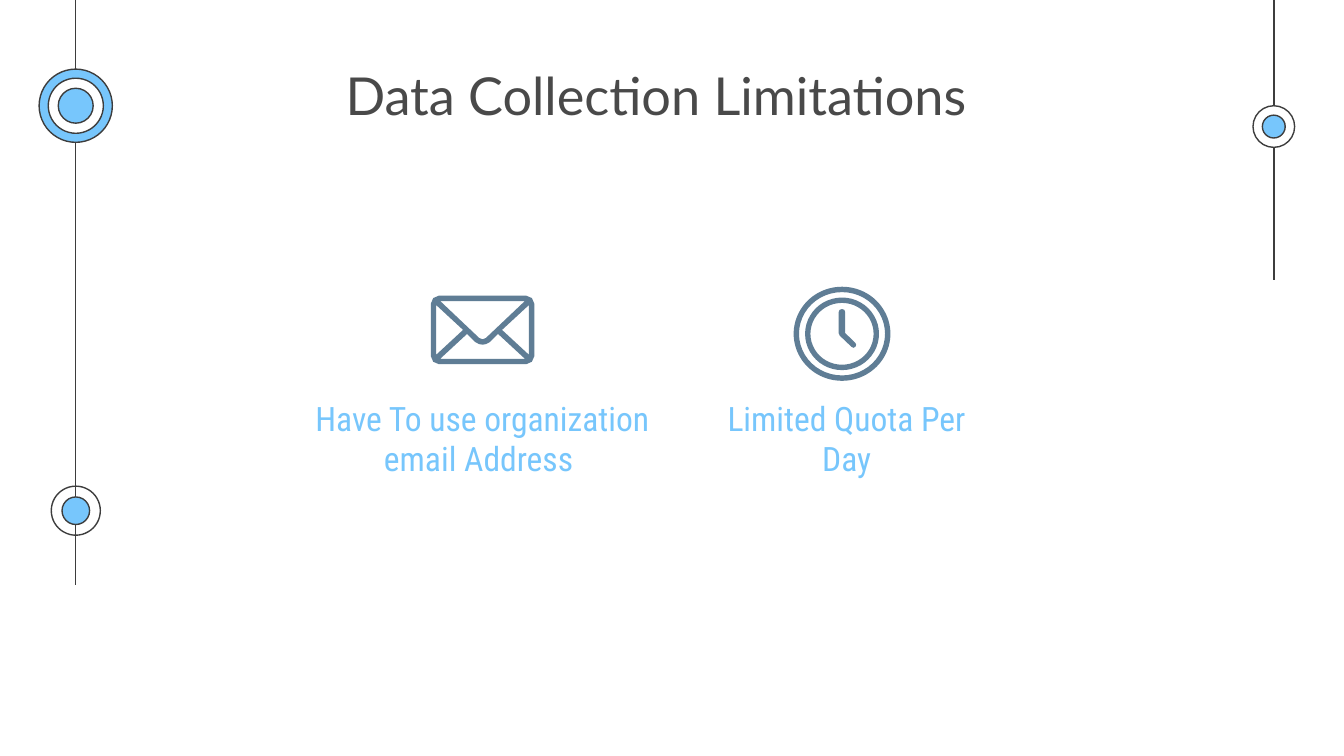
from lxml import etree
from pptx import Presentation
from pptx import util as u
from pptx.dml.color import RGBColor
from pptx.enum import shapes, text
from pptx.oxml.ns import qn

# The slide is 16:9, 1000 columns wide; all lengths are in square cells.
COLS = 1000
ROWS = COLS * 9 / 16
CELL = u.Inches(0.01)
HUES = {"ink": "3D3D3D", "sky": "77C6FC", "white": "FFFFFF",
        "title": "494949", "icon": "5F7D95"}
KIND = shapes.MSO_SHAPE


def hue(name):
    return RGBColor.from_string(HUES[name])


def grid(*cells):
    return [round(c * CELL) for c in cells]


def paint(shape, fill=None, edge=None):
    shape.shadow.inherit = False
    if fill:
        shape.fill.solid()
        shape.fill.fore_color.rgb = hue(fill)
    else:
        shape.fill.background()
    if edge:
        shape.line.color.rgb = hue(edge)
        shape.line.width = u.Pt(0.75)
    else:
        shape.line.fill.background()


def disc(slide, x, y, wide, high, kind=KIND.OVAL, **look):
    """Add a round shape centred on x, y."""
    box = grid(x - wide / 2, y - high / 2, wide, high)
    shape = slide.shapes.add_shape(kind, *box)
    paint(shape, **look)
    return shape


def target(slide, x, y, rings):
    """Add nested discs, given as (size, fill) from the outside in."""
    for size, fill in rings:
        disc(slide, x, y, size, size, fill=fill, edge="ink")


def rail(slide, x, end):
    """Add a vertical line from the top edge down to row end."""
    line = slide.shapes.add_connector(
        shapes.MSO_CONNECTOR.STRAIGHT, *grid(x, 0, x, end))
    line.line.color.rgb = hue("ink")
    line.line.width = u.Pt(0.75)
    etree.SubElement(line._element.spPr, qn("a:effectLst"))


def label(slide, box, words, font, size, color, anchor):
    frame = slide.shapes.add_textbox(*grid(*box)).text_frame
    frame.word_wrap = True
    frame.vertical_anchor = anchor
    frame.margin_left = frame.margin_right = u.Inches(0.1)
    frame.margin_top = frame.margin_bottom = u.Inches(0.1)
    para = frame.paragraphs[0]
    para.text = words
    para.alignment = text.PP_ALIGN.CENTER
    para.font.name, para.font.size = font, u.Pt(size)
    para.font.color.rgb = hue(color)


def outline(slide, x, y, loops):
    """Add one filled shape from closed loops; inner loops cut holes.

    Points are tenths of a cell, measured from x, y.
    """
    first, *rest = loops
    pen = slide.shapes.build_freeform(*first[0], scale=CELL / 10)
    pen.add_line_segments(first[1:])
    for loop in rest:
        pen.move_to(*loop[0])
        pen.add_line_segments(loop[1:])
    paint(pen.convert_to_shape(*grid(x, y)), fill="icon")


def envelope(slide, x, y):
    wide, high = 770, 510
    frame = [(60, 0), (wide - 60, 0), (wide - 18, 18), (wide, 60),
             (wide, high - 60), (wide - 18, high - 18), (wide - 60, high),
             (60, high), (18, high - 18), (0, high - 60), (0, 60), (18, 18)]
    flap = [(70, 40), (360, 315), (385, 325), (410, 315), (700, 40)]
    left = [(40, 70), (240, 255), (40, 440)]
    right = [(wide - a, b) for a, b in left]
    base = [(270, 285), (330, 345), (360, 361), (385, 365), (410, 361),
            (440, 345), (500, 285), (700, 470), (70, 470)]
    outline(slide, x, y, [frame, flap, left, right, base])


def clock(slide, x, y):
    for wide, high in ((72, 70), (55, 54)):
        ring = disc(slide, x, y, wide, high, KIND.DONUT, fill="icon")
        ring.adjustments[0] = 4 / high
    hands = [(25, 0), (7, 6), (0, 22), (0, 180), (8, 198), (95, 281),
             (110, 288), (125, 280), (130, 265), (124, 252), (48, 178),
             (48, 22), (42, 6)]
    outline(slide, x - 2.4, y - 18.4, [hands])


def main():
    deck = Presentation()
    deck.slide_width, deck.slide_height = grid(COLS, ROWS)
    slide = deck.slides.add_slide(deck.slide_layouts[6])

    left, right = 56.4, 947.8
    rail(slide, left, 435.3)
    rail(slide, right, 208)
    target(slide, left, 380, [(36.5, None), (20.5, "sky")])
    target(slide, right, 94.2, [(31, "white"), (17, "sky")])
    target(slide, left, 78.7, [(54.5, "sky"), (41, "white"), (26, "sky")])

    spot = text.MSO_ANCHOR
    label(slide, (188, 37.5, 610, 65), "Data Collection Limitations ",
          "Lato", 28, "title", spot.MIDDLE)
    for box, words in [
            ((522, 286, 216, 70), "Limited Quota Per Day"),
            ((220, 286, 278, 75), "Have To use organization email Address ")]:
        label(slide, box, words, "Roboto Condensed", 18, "sky", spot.TOP)

    envelope(slide, 320.6, 220)
    clock(slide, 626.5, 248.4)
    deck.save("out.pptx")


if __name__ == "__main__":
    main()
